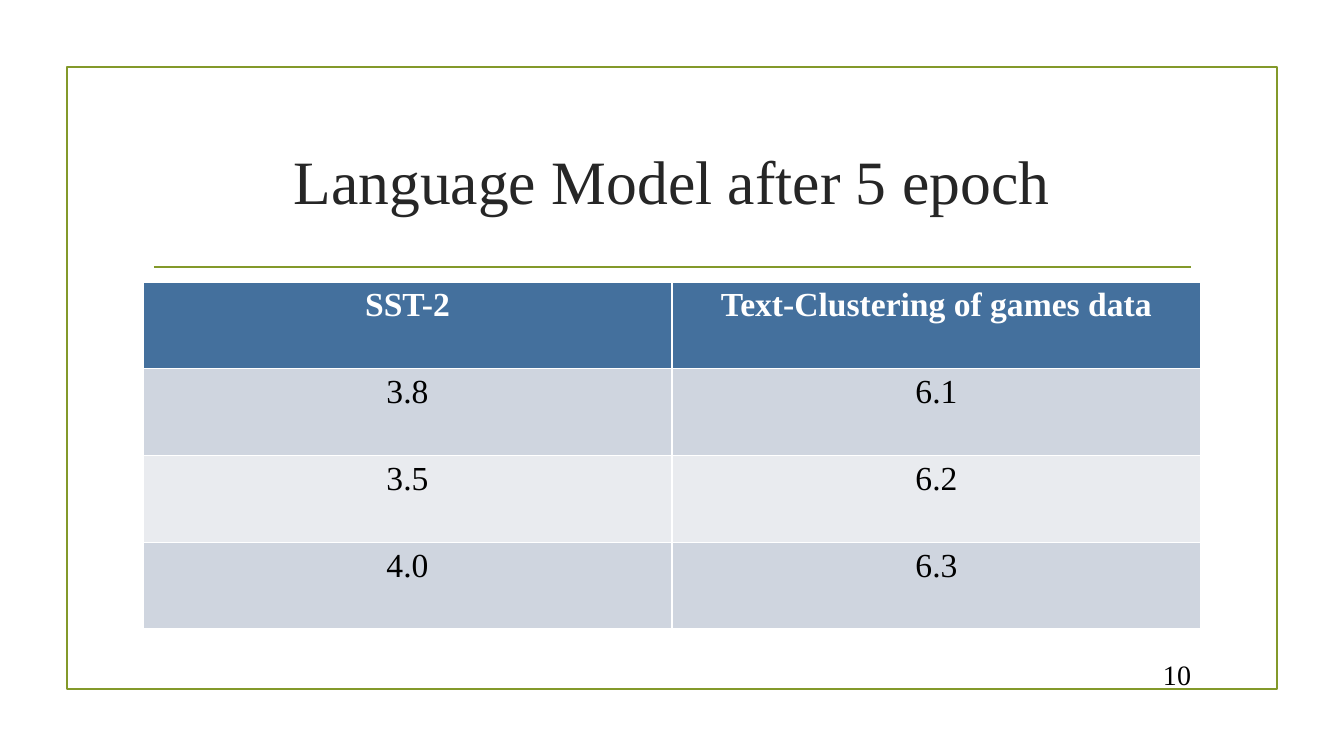
from pptx import Presentation
from pptx import util as u
from pptx.dml.color import RGBColor
from pptx.enum import shapes, text
from pptx.oxml import parse_xml
from pptx.oxml.ns import nsdecls

PX = 914400 / 100.8
FONT = "Times New Roman"
OLIVE = RGBColor(0x83, 0x99, 0x2A)
CHARCOAL = RGBColor(0x26, 0x26, 0x26)
BLACK = RGBColor(0, 0, 0)
WHITE = RGBColor(0xFF, 0xFF, 0xFF)
HEADER_BLUE = RGBColor(0x44, 0x70, 0x9D)
BANDS = [RGBColor(0xE9, 0xEB, 0xEF), RGBColor(0xCF, 0xD5, 0xDF)]
ROWS = [
    ("SST-2", "Text-Clustering of games data"),
    ("3.8", "6.1"),
    ("3.5", "6.2"),
    ("4.0", "6.3"),
]


def px(*lengths):
    """Turn pixel lengths into EMU."""
    return [u.Emu(round(n * PX)) for n in lengths]


def write(tf, words, size, color, align, bold=False):
    p = tf.paragraphs[0]
    p.alignment = align
    r = p.add_run()
    r.text = words
    r.font.name = FONT
    r.font.size = u.Pt(size)
    r.font.bold = bold
    r.font.color.rgb = color


prs = Presentation()
prs.slide_width, prs.slide_height = px(1344, 756)
s = prs.slides.add_slide(prs.slide_layouts[5])

# Frame and rule under the title
frame = s.shapes.add_shape(shapes.MSO_SHAPE.RECTANGLE, *px(67, 67, 1210, 622))
frame.shadow.inherit = False
frame.fill.background()
rule = s.shapes.add_connector(shapes.MSO_CONNECTOR.STRAIGHT, *px(154, 267, 1191, 267))
rule._element.spPr.append(parse_xml(f"<a:effectLst {nsdecls('a')}/>"))
for outlined in (frame, rule):
    outlined.line.color.rgb = OLIVE
    outlined.line.width = u.Pt(1.25)

# Title
title = s.shapes.title
title.left, title.top, title.width, title.height = px(143, 108, 1058, 144)
title.text_frame.vertical_anchor = text.MSO_ANCHOR.MIDDLE
write(title.text_frame, "Language Model after 5 epoch", 44, CHARCOAL, text.PP_ALIGN.CENTER)

# Results table; its default style draws the white borders
table = s.shapes.add_table(len(ROWS), 2, *px(143, 282, 1058, 347)).table
for i, row in enumerate(ROWS):
    for j, words in enumerate(row):
        cell = table.cell(i, j)
        cell.fill.solid()
        cell.fill.fore_color.rgb = BANDS[i % 2] if i else HEADER_BLUE
        write(cell.text_frame, words, 24, BLACK if i else WHITE,
              text.PP_ALIGN.CENTER, bold=i == 0)

# Slide number
number = s.shapes.add_textbox(*px(1141, 658, 60, 32))
number.text_frame.word_wrap = True
number.text_frame.vertical_anchor = text.MSO_ANCHOR.MIDDLE
write(number.text_frame, "10", 20, BLACK, text.PP_ALIGN.RIGHT)

prs.save("out.pptx")
